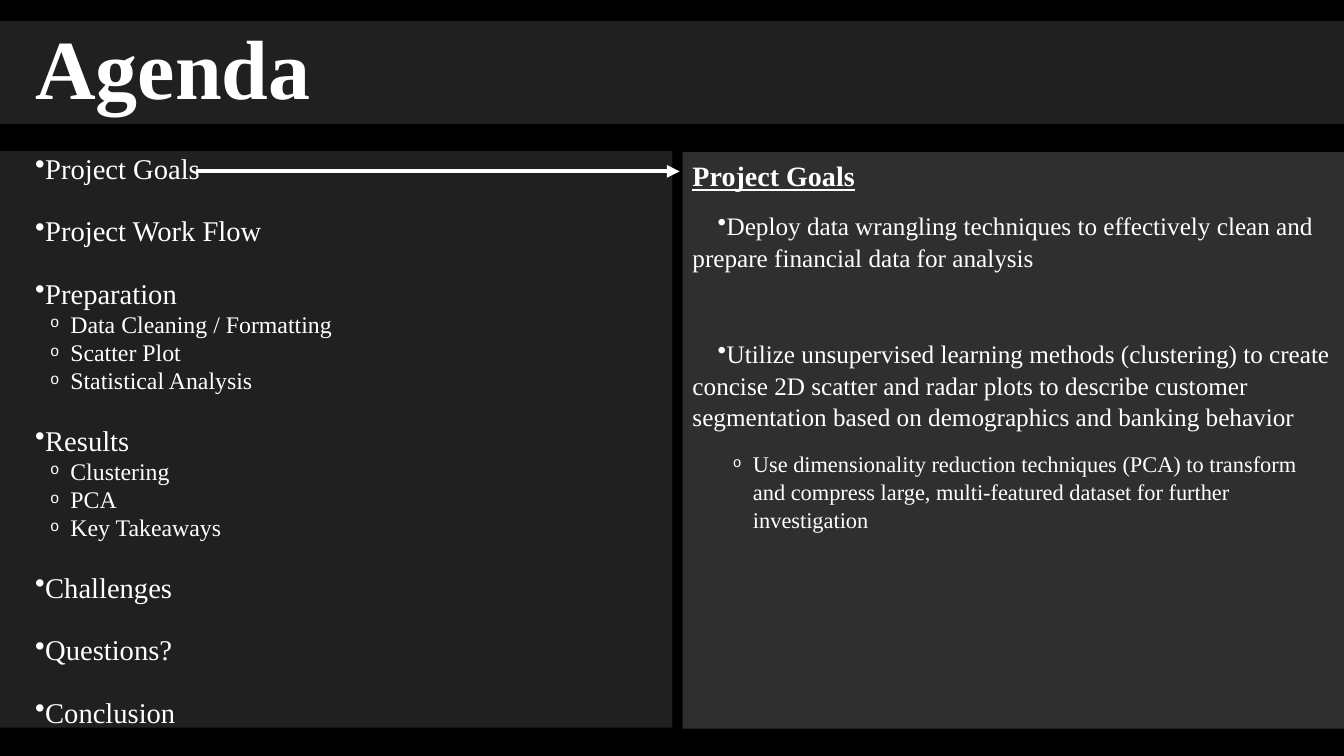
from dataclasses import dataclass

from lxml import etree
from pptx import Presentation
from pptx import util as u
from pptx.dml.color import RGBColor
from pptx.enum import shapes, text
from pptx.oxml.ns import qn


@dataclass(frozen=True)
class Theme:
    font: str = "Times New Roman"
    back: str = "000000"
    panel: str = "404040"
    ink: str = "FFFFFF"
    title: float = 60
    head: float = 20
    item: float = 20.4
    sub: float = 17
    goal: float = 18
    note: float = 16
    rule: float = 3


def add_tag(parent, tag, **attrs):
    return etree.SubElement(parent, qn(tag), attrs)


class Deck:
    def __init__(self, theme):
        self.theme = theme
        self.prs = Presentation()
        self.prs.slide_width = u.Inches(13.33)
        self.prs.slide_height = u.Inches(7.5)
        self.slide = self.prs.slides.add_slide(self.prs.slide_layouts[5])
        fill = self.slide.background.fill
        fill.solid()
        fill.fore_color.rgb = RGBColor.from_string(theme.back)

    def tint(self, shape, alpha):
        shape.fill.solid()
        shape.fill.fore_color.rgb = RGBColor.from_string(self.theme.panel)
        color = shape._element.spPr.find(".//" + qn("a:srgbClr"))
        add_tag(color, "a:alpha", val=str(alpha * 1000))

    def add_words(self, para, words, size, bold=False, line=False):
        run = para.add_run()
        run.text = words
        font = run.font
        font.name, font.size = self.theme.font, u.Pt(size)
        font.bold, font.underline = bold, line
        font.color.rgb = RGBColor.from_string(self.theme.ink)

    def title(self, words, box, alpha):
        shape = self.slide.shapes.title
        shape.left, shape.top, shape.width, shape.height = map(u.Inches, box)
        self.tint(shape, alpha)
        frame = shape.text_frame
        frame.word_wrap = True
        frame.auto_size = text.MSO_AUTO_SIZE.NONE
        frame.vertical_anchor = text.MSO_ANCHOR.MIDDLE
        para = frame.paragraphs[0]
        para.alignment = text.PP_ALIGN.LEFT
        para.line_spacing = 0.9
        para._p.get_or_add_pPr().set("marL", str(u.Inches(0.25)))
        self.add_words(para, words, self.theme.title, bold=True)

    def panel(self, box, alpha):
        shape = self.slide.shapes.add_textbox(*map(u.Inches, box))
        self.tint(shape, alpha)
        shape.text_frame.word_wrap = True
        return shape.text_frame

    def para(self, frame, gap, pitch):
        para = frame.paragraphs[0]
        if para.runs:
            para = frame.add_paragraph()
            para.space_before = u.Pt(gap)
        para.line_spacing = pitch
        return para

    def bullet(self, para, level):
        props = para._p.get_or_add_pPr()
        left, first = (0.6, -0.2) if level else (0, 0.25)
        props.set("marL", str(u.Inches(left)))
        props.set("indent", str(u.Inches(first)))
        if level:
            para.level = level
            add_tag(props, "a:buSzPct", val="65000")
            add_tag(props, "a:buFont", typeface="Courier New")
        add_tag(props, "a:buChar", char="o" if level else "•")

    def arrow(self, start, end):
        ends = map(u.Inches, start + end)
        wire = self.slide.shapes.add_connector(
            shapes.MSO_CONNECTOR.STRAIGHT, *ends)
        wire.line.color.rgb = RGBColor.from_string(self.theme.ink)
        wire.line.width = u.Pt(self.theme.rule)
        props = wire._element.spPr
        add_tag(props.find(qn("a:ln")), "a:tailEnd", type="triangle")
        add_tag(props, "a:effectLst")


AGENDA = [
    ("Project Goals", []),
    ("Project Work Flow", []),
    ("Preparation", ["Data Cleaning / Formatting", "Scatter Plot",
                     "Statistical Analysis"]),
    ("Results", ["Clustering", "PCA", "Key Takeaways"]),
    ("Challenges", []),
    ("Questions?", []),
    ("Conclusion", []),
]

# Level, space before in points, words
GOALS = [
    (0, 12, "Deploy data wrangling techniques to effectively clean and "
            "prepare financial data for analysis"),
    (0, 45.7, "Utilize unsupervised learning methods (clustering) to create "
              "concise 2D scatter and radar plots to describe customer "
              "segmentation based on demographics and banking behavior"),
    (1, 12, "Use dimensionality reduction techniques (PCA) to transform and "
            "compress large, multi-featured dataset for further "
            "investigation"),
]


def main():
    theme = Theme()
    deck = Deck(theme)

    # Title band
    deck.title("Agenda", (0, 0.21, 13.33, 1.02), 50)

    # Agenda list
    frame = deck.panel((0, 1.5, 6.67, 5.72), 50)
    for topic, parts in AGENDA:
        rows = [(0, 24, theme.item, topic)]
        rows += [(1, 3, theme.sub, part) for part in parts]
        for level, gap, size, words in rows:
            para = deck.para(frame, gap, 0.84)
            deck.bullet(para, level)
            deck.add_words(para, words, size)

    # Project goals
    frame = deck.panel((6.77, 1.51, 6.56, 5.72), 75)
    para = deck.para(frame, 0, 1.05)
    deck.add_words(para, "Project Goals", theme.head, bold=True, line=True)
    for level, gap, words in GOALS:
        para = deck.para(frame, gap, 1.05)
        deck.bullet(para, level)
        deck.add_words(para, words, theme.note if level else theme.goal)

    # Arrow from the current topic to its details
    deck.arrow((1.94, 1.7), (6.74, 1.7))

    deck.prs.save("out.pptx")


if __name__ == "__main__":
    main()
